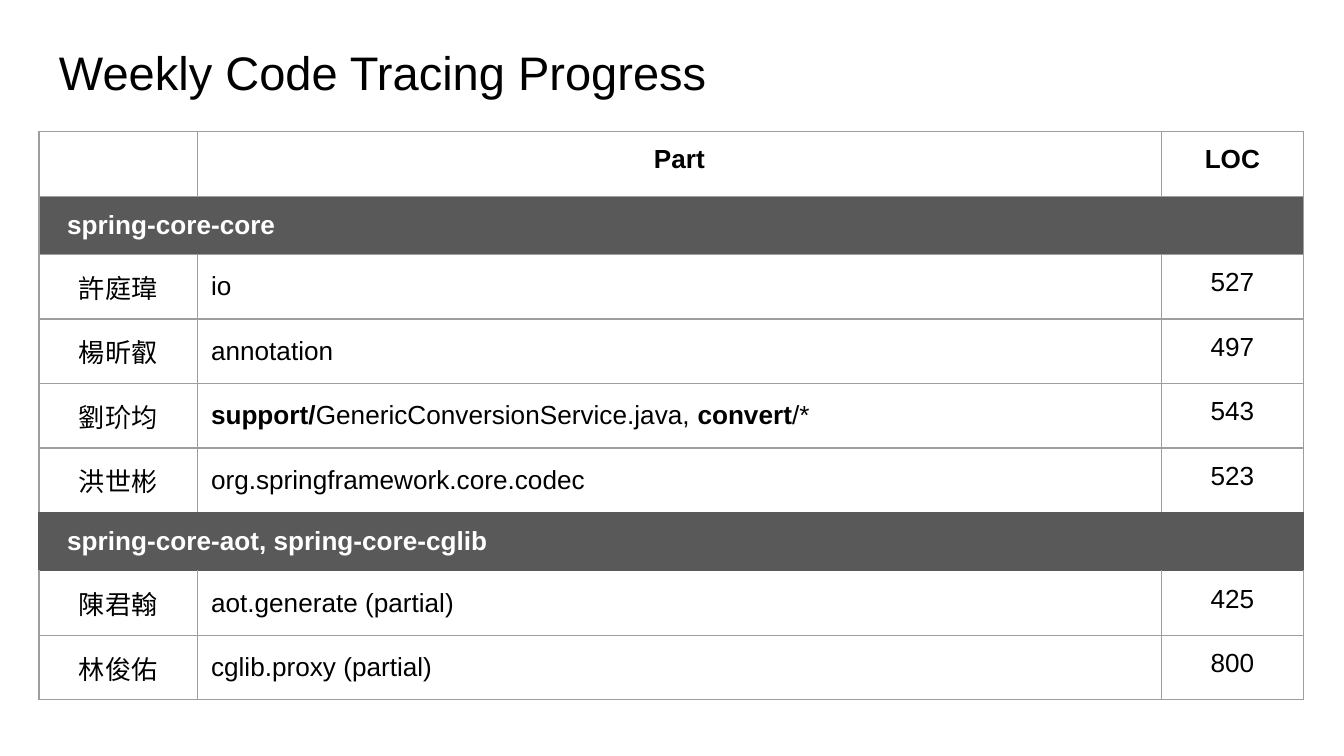
import pptx
import pptx.util
import pptx.dml.color
import pptx.enum.text
import pptx.oxml
import pptx.oxml.ns

Inches, Pt = pptx.util.Inches, pptx.util.Pt
ALIGN, ANCHOR = pptx.enum.text.PP_ALIGN, pptx.enum.text.MSO_ANCHOR
COLORS = {"text": "000000", "light": "FFFFFF", "band": "595959", "line": "9E9E9E"}
FONT = "Arial"
SIZE = 14
LEFT, TOP = 0.29, 0.98
COLS = [1.18, 7.17, 1.06]
BAND_H, ROW_H = 0.42, 0.48
PAD = 0.1

SECTIONS = [
    ("spring-core-core", "line", [
        ("許庭瑋", [("io", False)], "527"),
        ("楊昕叡", [("annotation", False)], "497"),
        ("劉玠均", [("support/", True), ("GenericConversionService.java, ", False),
                 ("convert", True), ("/*", False)], "543"),
        ("洪世彬", [("org.springframework.core.codec", False)], "523"),
    ]),
    ("spring-core-aot, spring-core-cglib", "band", [
        ("陳君翰", [("aot.generate (partial)", False)], "425"),
        ("林俊佑", [("cglib.proxy (partial)", False)], "800"),
    ]),
]


def add_run(p, text, size, color="text", bold=False):
    r = p.add_run()
    r.text = text
    r.font.name = FONT
    r.font.size = Pt(size)
    r.font.bold = bold
    r.font.color.rgb = pptx.dml.color.RGBColor.from_string(COLORS[color])


def set_margins(box, left=PAD):
    box.margin_left = Inches(left)
    box.margin_right = box.margin_top = box.margin_bottom = Inches(PAD)


def add_title(s, text):
    tb = s.shapes.add_textbox(Inches(0.34), Inches(0.22), Inches(9.32), Inches(0.63))
    tf = tb.text_frame
    tf.word_wrap = True
    tf.vertical_anchor = ANCHOR.MIDDLE
    set_margins(tf)
    add_run(tf.paragraphs[0], text, 25.2)


def set_borders(cell, top="line", bottom="line", sides="line"):
    tcPr = cell._tc.get_or_add_tcPr()
    edges = {"lnL": sides, "lnR": sides, "lnT": top, "lnB": bottom}
    for i, (tag, color) in enumerate(edges.items()):
        tcPr.insert(i, pptx.oxml.parse_xml(
            f'<a:{tag} {pptx.oxml.ns.nsdecls("a")} w="{Pt(0.75)}"><a:solidFill>'
            f'<a:srgbClr val="{COLORS[color]}"/></a:solidFill></a:{tag}>'))


def fill_cell(cell, runs, align=ALIGN.LEFT, anchor=ANCHOR.TOP, color="text", left=PAD):
    set_margins(cell, left)
    cell.vertical_anchor = anchor
    p = cell.text_frame.paragraphs[0]
    p.alignment = align
    for text, bold in runs:
        add_run(p, text, SIZE, color, bold)
    p._p.append(pptx.oxml.parse_xml(
        f'<a:endParaRPr {pptx.oxml.ns.nsdecls("a")} sz="{SIZE * 100}"/>'))


def add_band(table, row, text, line):
    cells = [table.cell(row, c) for c in range(len(COLS))]
    for i, cell in enumerate(cells):
        cell.fill.solid()
        cell.fill.fore_color.rgb = pptx.dml.color.RGBColor.from_string(COLORS["band"])
        set_borders(cell, line, line, line)
        fill_cell(cell, [(text, True)] if i == 0 else [],
                  anchor=ANCHOR.MIDDLE, color="light", left=PAD + 0.11)
    cells[0].merge(cells[-1])


def add_row(table, row, contents, top="line", bottom="line"):
    for c, runs in enumerate(contents):
        cell = table.cell(row, c)
        cell.fill.background()
        set_borders(cell, top, bottom)
        is_part = c == 1 and row > 0
        fill_cell(cell, runs, ALIGN.LEFT if is_part else ALIGN.CENTER,
                  ANCHOR.MIDDLE if is_part else ANCHOR.TOP)


def add_progress_table(s):
    heights = [ROW_H]
    for _, _, members in SECTIONS:
        heights += [BAND_H] + [ROW_H] * len(members)
    frame = s.shapes.add_table(len(heights), len(COLS), Inches(LEFT), Inches(TOP),
                               Inches(sum(COLS)), Inches(sum(heights)))
    table = frame.table
    table.first_row = table.horz_banding = False
    for col, width in zip(table.columns, COLS):
        col.width = Inches(width)
    for row, height in zip(table.rows, heights):
        row.height = Inches(height)

    add_row(table, 0, [[], [("Part", True)], [("LOC", True)]])
    row = 1
    next_lines = [line for _, line, _ in SECTIONS[1:]] + ["line"]
    for (name, line, members), next_line in zip(SECTIONS, next_lines):
        add_band(table, row, name, line)
        for i, (member, part, loc) in enumerate(members):
            add_row(table, row + 1 + i, [[(member, False)], part, [(loc, False)]],
                    line if i == 0 else "line",
                    next_line if i == len(members) - 1 else "line")
        row += 1 + len(members)


def main():
    prs = pptx.Presentation()
    prs.slide_width = Inches(10)
    prs.slide_height = prs.slide_width * 9 // 16
    s = prs.slides.add_slide(prs.slide_layouts[6])
    add_title(s, "Weekly Code Tracing Progress")
    add_progress_table(s)
    prs.save("out.pptx")


if __name__ == "__main__":
    main()
